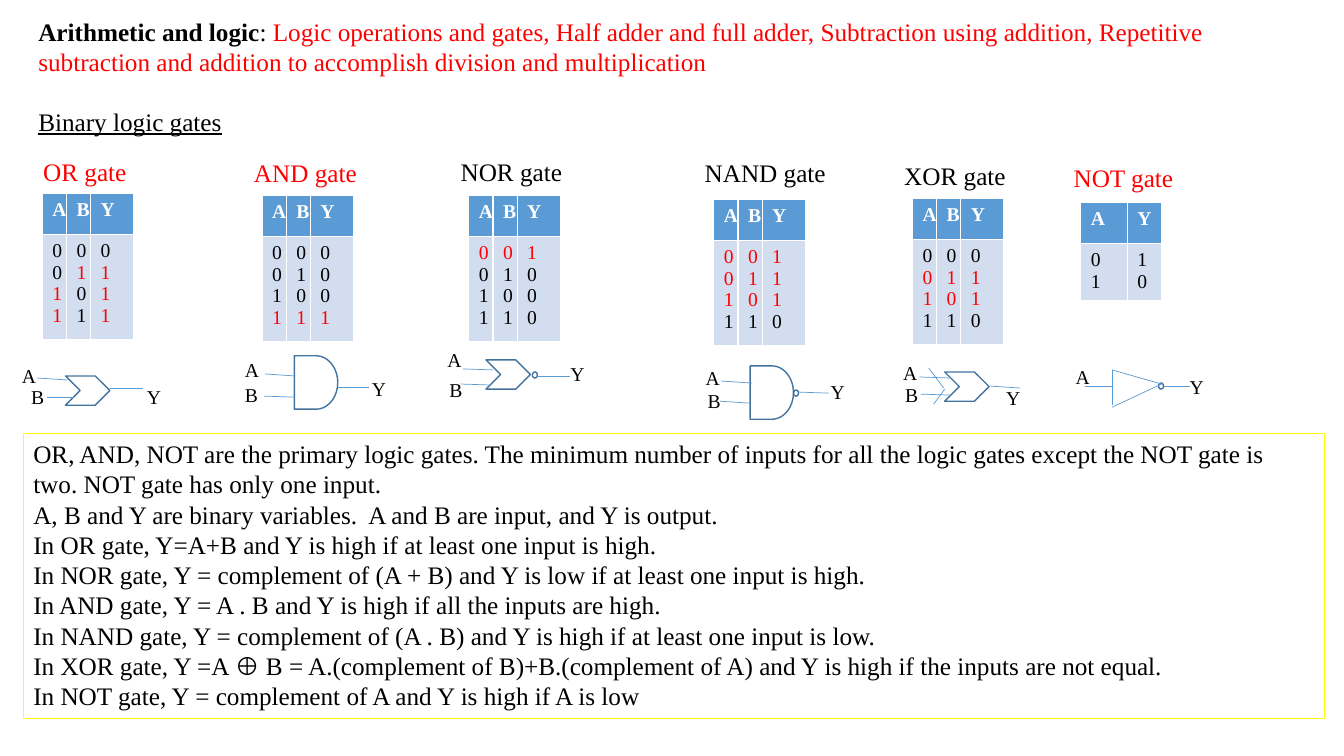
from dataclasses import dataclass

import lxml.etree
import pptx
import pptx.util
import pptx.dml.color
import pptx.enum.shapes
import pptx.enum.text
import pptx.oxml.ns

RGBColor = pptx.dml.color.RGBColor
BLACK = RGBColor(0x00, 0x00, 0x00)
WHITE = RGBColor(0xFF, 0xFF, 0xFF)
RED = RGBColor(0xFF, 0x00, 0x00)
YELLOW = RGBColor(0xFF, 0xFF, 0x00)
BLUE = RGBColor(0x5B, 0x9B, 0xD5)
PALE_BLUE = RGBColor(0xD2, 0xDE, 0xEF)
DARK_BLUE = RGBColor(0x43, 0x73, 0x9E)

FONT = "Times New Roman"
EMU_PER_PX = 9144
SHAPES = pptx.enum.shapes.MSO_SHAPE
CHEVRON, DELAY, CIRCLE = SHAPES.CHEVRON, SHAPES.FLOWCHART_DELAY, SHAPES.OVAL
TOPIC = [
    ("Arithmetic and logic", BLACK, True),
    (": ", BLACK, False),
    ("Logic operations and gates, Half adder and full adder, Subtraction using addition, "
     "Repetitive subtraction and addition to accomplish division and multiplication", RED, False),
]
NOTES = [
    "OR, AND, NOT are the primary logic gates. The minimum number of inputs for all the logic "
    "gates except the NOT gate is two. NOT gate has only one input.",
    "A, B and Y are binary variables.  A and B are input, and Y is output.",
    "In OR gate, Y=A+B and Y is high if at least one input is high.",
    "In NOR gate, Y = complement of (A + B) and Y is low if at least one input is high.",
    "In AND gate, Y = A . B and Y is high if all the inputs are high.",
    "In NAND gate, Y = complement of (A . B) and Y is high if at least one input is low.",
    "In XOR gate, Y =A ⊕ B = A.(complement of B)+B.(complement of A) and Y is high if the "
    "inputs are not equal.",
    "In NOT gate, Y = complement of A and Y is high if A is low",
]


@dataclass
class Gate:
    name: str
    color: RGBColor
    name_box: tuple
    table_at: tuple
    columns: dict
    red_rows: tuple
    symbols: list
    wires: list
    labels: list


GATES = [
    Gate("OR gate", RED, (33, 150, 109), (42, 192),
         {"A": "0011", "B": "0101", "Y": "0111"}, ((2, 3), (1,), (1, 2, 3)),
         [(CHEVRON, 65, 373, 44, 29)],
         [(37, 375, 67, 377), (47, 394, 73, 394), (109, 385, 142, 385)],
         [("A", 12, 356), ("B", 21, 377), ("Y", 136, 377)]),
    Gate("AND gate", RED, (242, 151, 125), (260, 194),
         {"A": "0011", "B": "0101", "Y": "0001"}, ((3,),) * 3,
         [(DELAY, 292, 353, 43, 53)],
         [(263, 371, 293, 373), (262, 393, 292, 394), (335, 384, 366, 384)],
         [("A", 233, 350), ("B", 233, 375), ("Y", 359, 369)]),
    Gate("NOR gate", BLACK, (447, 150, 124), (465, 194),
         {"A": "0011", "B": "0101", "Y": "1000"}, ((0,),) * 3,
         [(CHEVRON, 482, 357, 44, 29), (CIRCLE, 528, 369, 5, 6)],
         [(459, 366, 489, 367), (457, 381, 487, 382), (533, 373, 565, 373)],
         [("A", 434, 340), ("B", 436, 370), ("Y", 556, 354)]),
    Gate("NAND gate", BLACK, (689, 151, 155), (708, 198),
         {"A": "0011", "B": "0101", "Y": "1110"}, ((0, 1, 2),) * 3,
         [(DELAY, 744, 363, 43, 53), (CIRCLE, 787, 387, 5, 6)],
         [(715, 378, 746, 380), (714, 398, 744, 400), (792, 389, 822, 390)],
         [("A", 690, 358), ("B", 692, 381), ("Y", 814, 372)]),
    Gate("XOR gate", BLACK, (887, 154, 140), (905, 197),
         {"A": "0011", "B": "0101", "Y": "0110"}, ((1, 2),) * 3,
         [(CHEVRON, 937, 369, 44, 29)],
         [(912, 374, 942, 375), (913, 391, 943, 392), (982, 383, 1012, 385),
          (921, 365, 936, 385), (937, 386, 926, 401)],
         [("A", 886, 353), ("B", 888, 375), ("Y", 988, 378)]),
    Gate("NOT gate", RED, (1055, 156, 124), (1072, 201),
         {"A": "01", "Y": "10"}, ((),) * 2,
         [(CIRCLE, 1149, 380, 5, 6)],
         [(1076, 383, 1103, 383), (1154, 383, 1180, 383), (1103, 367, 1103, 402),
          (1103, 404, 1152, 381), (1103, 367, 1152, 381)],
         [("A", 1057, 357), ("Y", 1170, 367)]),
]


def px(n):
    return pptx.util.Emu(n * EMU_PER_PX)


def format_run(r, size, color, bold=False):
    r.font.name = FONT
    r.font.size = pptx.util.Pt(size)
    r.font.bold = bold
    r.font.color.rgb = color


def format_placeholder(sp, left, top, width, height):
    sp.left, sp.top, sp.width, sp.height = map(px, (left, top, width, height))
    tf = sp.text_frame
    tf.word_wrap = True
    tf.auto_size = pptx.enum.text.MSO_AUTO_SIZE.NONE
    tf.vertical_anchor = pptx.enum.text.MSO_ANCHOR.TOP
    return tf


def fill_title(sp):
    tf = format_placeholder(sp, 28, 11, 1284, 131)
    p = tf.paragraphs[0]
    for text, color, bold in TOPIC:
        r = p.add_run()
        r.text = text
        format_run(r, 18, color, bold)
    heading = tf.add_paragraph()
    heading.text = "Binary logic gates"
    heading.space_before = pptx.util.Pt(21)
    format_run(heading.runs[0], 18, BLACK)
    heading.runs[0].font.underline = True
    for p in tf.paragraphs:
        p.alignment = pptx.enum.text.PP_ALIGN.LEFT


def fill_notes(sp):
    tf = format_placeholder(sp, 23, 430, 1291, 283)
    sp.line.color.rgb = YELLOW
    sp.line.width = pptx.util.Pt(0.75)
    tf.text = "\n".join(NOTES)
    for p in tf.paragraphs:
        p.space_before = pptx.util.Pt(0)
        pPr = p._p.get_or_add_pPr()
        pPr.set("marL", "0")
        pPr.set("indent", "0")
        lxml.etree.SubElement(pPr, pptx.oxml.ns.qn("a:buNone"))
        format_run(p.runs[0], 18, BLACK)


def add_label(s, text, left, top, width=37, height=34, size=14, color=BLACK):
    sp = s.shapes.add_textbox(px(left), px(top), px(width), px(height))
    tf = sp.text_frame
    tf.word_wrap = True
    tf.text = text
    format_run(tf.paragraphs[0].runs[0], size, color)


def add_symbol(s, kind, left, top, width, height):
    sp = s.shapes.add_shape(kind, px(left), px(top), px(width), px(height))
    sp.shadow.inherit = False
    sp.fill.background()
    sp.line.color.rgb = DARK_BLUE
    sp.line.width = pptx.util.Pt(1)


def add_wire(s, x1, y1, x2, y2):
    straight = pptx.enum.shapes.MSO_CONNECTOR.STRAIGHT
    sp = s.shapes.add_connector(straight, px(x1), px(y1), px(x2), px(y2))
    sp.line.color.rgb = BLUE
    sp.line.width = pptx.util.Pt(0.5)
    lxml.etree.SubElement(sp._element.spPr, pptx.oxml.ns.qn("a:effectLst"))


def fill_cell(cell, text, fill, colors, bold=False):
    cell.fill.solid()
    cell.fill.fore_color.rgb = fill
    cell.text = text
    for p, color in zip(cell.text_frame.paragraphs, colors):
        format_run(p.runs[0], 14, color, bold)


def add_truth_table(s, gate):
    widths = (23, 23, 43) if len(gate.columns) == 3 else (46, 34)
    heights = (41, 103) if len(gate.columns) == 3 else (41, 56)
    left, top = gate.table_at
    table = s.shapes.add_table(2, len(widths), px(left), px(top),
                               px(sum(widths)), px(sum(heights))).table
    for row, height in zip(table.rows, heights):
        row.height = px(height)
    for i, (name, bits) in enumerate(gate.columns.items()):
        table.columns[i].width = px(widths[i])
        colors = [RED if n in gate.red_rows[i] else BLACK for n in range(len(bits))]
        fill_cell(table.cell(0, i), name, BLUE, [WHITE], True)
        fill_cell(table.cell(1, i), "\n".join(bits), PALE_BLUE, colors)


def add_gate(s, gate):
    add_label(s, gate.name, *gate.name_box, height=40, size=18, color=gate.color)
    add_truth_table(s, gate)
    for symbol in gate.symbols:
        add_symbol(s, *symbol)
    for wire in gate.wires:
        add_wire(s, *wire)
    for label in gate.labels:
        add_label(s, *label)


def main():
    prs = pptx.Presentation()
    prs.slide_width, prs.slide_height = px(1333), px(750)
    s = prs.slides.add_slide(prs.slide_layouts[1])
    fill_title(s.shapes.title)
    fill_notes(s.placeholders[1])
    for gate in GATES:
        add_gate(s, gate)
    prs.save("out.pptx")


if __name__ == "__main__":
    main()
